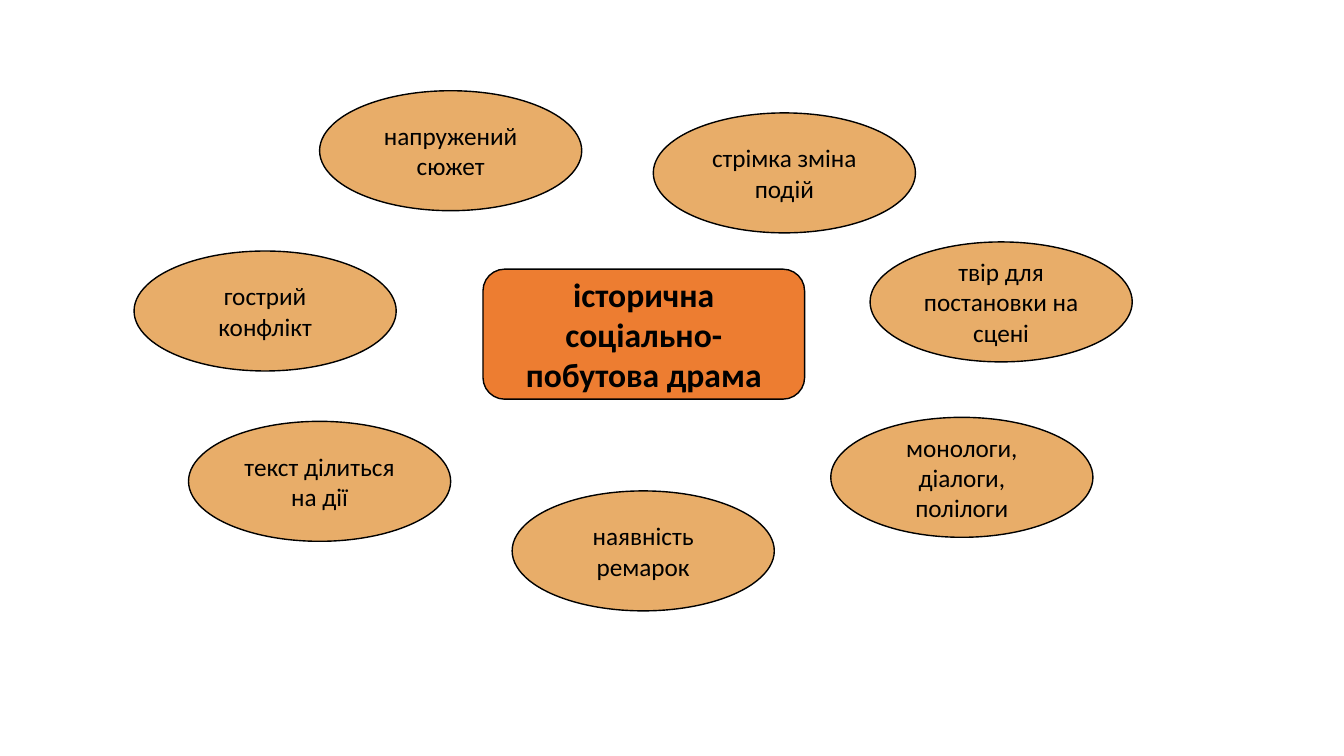
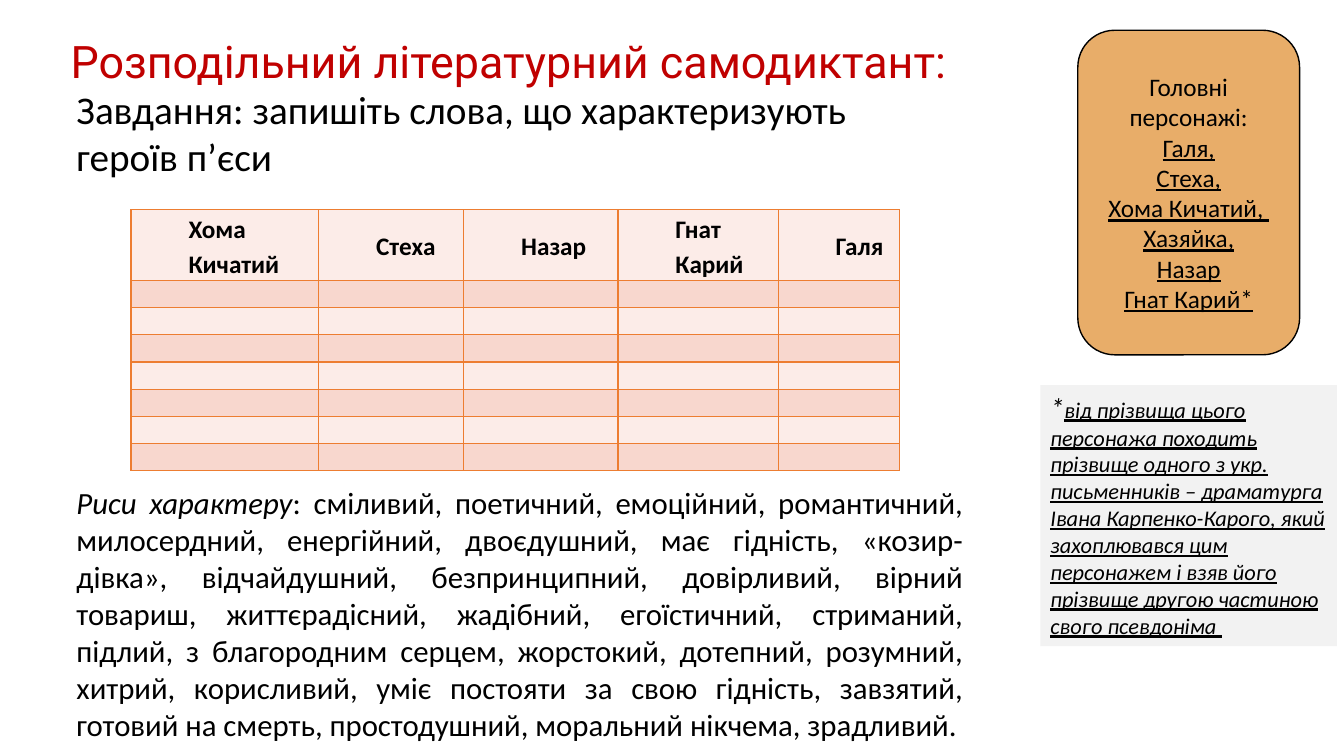
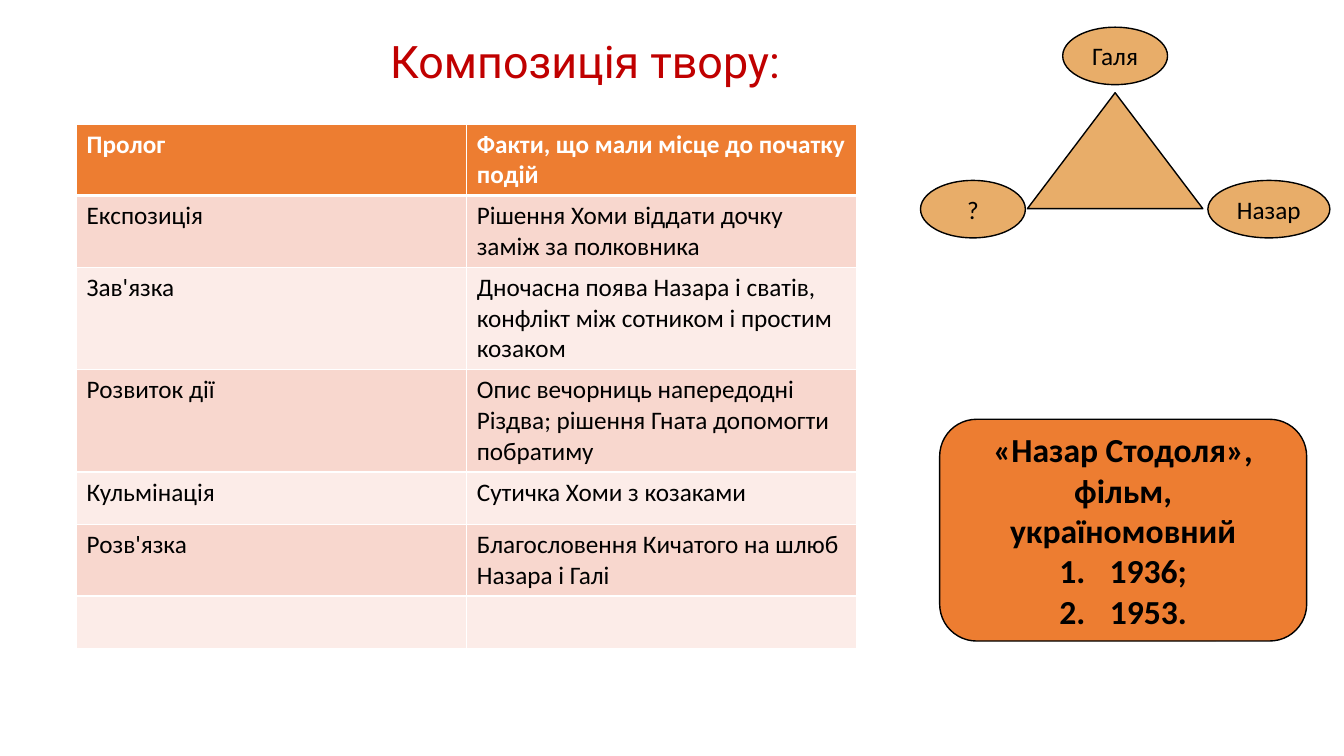
from lxml.etree import SubElement
from pptx import Presentation
from pptx.dml.color import RGBColor
from pptx.enum.shapes import MSO_SHAPE as Shape
from pptx.enum.text import MSO_ANCHOR as Anchor, MSO_AUTO_SIZE as AutoSize, PP_ALIGN as Align
from pptx.oxml.ns import qn
from pptx.util import Inches, Pt

COLORS = {
    "ink": "000000",
    "white": "FFFFFF",
    "title": "C00000",
    "orange": "ED7D31",
    "sand": "E8AD69",
    "rose": "F8D7CE",
    "blush": "FCECE8",
    "gray": "F2F2F2",
}
BLANK_LAYOUT, TITLE_LAYOUT = 6, 5


def color(name):
    return RGBColor.from_string(COLORS[name])


def write(frame, paragraphs, size=18, ink="ink", font="Calibri", bold=False, italic=False,
          underline=False, align=Align.LEFT, anchor=Anchor.TOP, spacing=None, indent=0,
          numbered_from=None):
    frame.word_wrap = True
    frame.vertical_anchor = anchor
    for index, content in enumerate(paragraphs):
        para = frame.paragraphs[0] if index == 0 else frame.add_paragraph()
        para.alignment = align
        if spacing:
            para.line_spacing = spacing
        properties = para._p.get_or_add_pPr()
        if indent:
            properties.set("marL", str(Inches(indent)))
        if numbered_from is not None and index >= numbered_from:
            properties.set("marL", str(Inches(0.5)))
            properties.set("indent", str(-Inches(0.5)))
            SubElement(properties, qn("a:buFont"), typeface="+mj-lt")
            SubElement(properties, qn("a:buAutoNum"), type="arabicPeriod")
        spans = [(content, {})] if isinstance(content, str) else content
        for text, changes in spans:
            span = para.add_run()
            span.text = text
            span.font.name = font
            span.font.size = Pt(changes.get("size", size))
            span.font.bold = bold
            span.font.italic = changes.get("italic", italic)
            span.font.underline = changes.get("underline", underline)
            span.font.color.rgb = color(ink)


class Lesson:
    def __init__(self):
        self.deck = Presentation()
        self.deck.slide_width = Inches(13.33)
        self.deck.slide_height = Inches(7.5)
        self.page = None

    def add_page(self, title=None, left=0, width=0):
        layout = BLANK_LAYOUT if title is None else TITLE_LAYOUT
        self.page = self.deck.slides.add_slide(self.deck.slide_layouts[layout])
        if title is None:
            return
        box = self.page.shapes.title
        box.left, box.top = Inches(left), Inches(0.28)
        box.width, box.height = Inches(width), Inches(0.64)
        write(box.text_frame, [title], size=32, ink="title", font="Roboto")
        box.text_frame.auto_size = AutoSize.NONE

    def shape(self, kind, left, top, width, height, paragraphs=(), fill="sand", line="ink",
              align=Align.CENTER, anchor=Anchor.MIDDLE, **style):
        shape = self.page.shapes.add_shape(
            kind, Inches(left), Inches(top), Inches(width), Inches(height))
        shape.shadow.inherit = False
        shape.fill.solid()
        shape.fill.fore_color.rgb = color(fill)
        if line:
            shape.line.color.rgb = color(line)
            shape.line.width = Pt(1)
        else:
            shape.line.fill.background()
        write(shape.text_frame, paragraphs, align=align, anchor=anchor, **style)

    def oval(self, text, left, top, width=2.6, height=1.19):
        self.shape(Shape.OVAL, left, top, width, height, [text])

    def plaque(self, paragraphs, left, top, width, height, **style):
        self.shape(Shape.ROUNDED_RECTANGLE, left, top, width, height, paragraphs,
                   fill="orange", size=24, bold=True, **style)

    def text(self, paragraphs, left, top, width, height, **style):
        box = self.page.shapes.add_textbox(
            Inches(left), Inches(top), Inches(width), Inches(height))
        write(box.text_frame, paragraphs, **style)

    def table(self, rows, left, top, widths, heights, border, header_fill, header_style,
              header_rule=1, margins=None):
        table = self.page.shapes.add_table(
            len(rows), len(widths), Inches(left), Inches(top),
            Inches(sum(widths)), Inches(sum(heights))).table
        for column, width in zip(table.columns, widths):
            column.width = Inches(width)
        for number, (row, height, texts) in enumerate(zip(table.rows, heights, rows)):
            row.height = Inches(height)
            fill = ("rose" if number % 2 else "blush") if number else header_fill
            rules = {"L": 1, "R": 1,
                     "T": header_rule if number == 1 else 1,
                     "B": header_rule if number == 0 else 1}
            for cell, text in zip(row.cells, texts):
                if margins:
                    cell.margin_left = cell.margin_right = Inches(margins[0])
                    cell.margin_top = cell.margin_bottom = Inches(margins[1])
                self.borders(cell, border, rules)
                cell.fill.solid()
                cell.fill.fore_color.rgb = color(fill)
                if text:
                    style = {} if number else dict(header_style)
                    cell.vertical_anchor = style.pop("anchor", Anchor.TOP)
                    write(cell.text_frame, [text], anchor=cell.vertical_anchor, **style)
                else:
                    para = cell.text_frame.paragraphs[0]
                    SubElement(para._p, qn("a:endParaRPr"), sz="1200")

    def borders(self, cell, border, rules):
        properties = cell._tc.get_or_add_tcPr()
        for side, width in rules.items():
            line = SubElement(properties, qn("a:ln" + side), w=str(Pt(width)))
            paint = SubElement(line, qn("a:solidFill"))
            SubElement(paint, qn("a:srgbClr"), val=COLORS[border])


def add_genre_page(lesson):
    lesson.add_page()
    lesson.plaque(["історична соціально-побутова драма"], 4.79, 2.67, 3.19, 1.29)
    for text, left, top in (
        ("гострий конфлікт", 1.33, 2.49),
        ("твір для постановки на сцені", 8.63, 2.4),
        ("текст ділиться на дії", 1.87, 4.18),
        ("наявність ремарок", 5.08, 4.87),
        ("монологи, діалоги, полілоги", 8.24, 4.14),
        ("стрімка зміна подій", 6.48, 1.12),
        ("напружений сюжет", 3.17, 0.9),
    ):
        lesson.oval(text, left, top)


def add_characters_page(lesson):
    lesson.add_page("Розподільний літературний самодиктант:", 0.6, 9.02)
    names = ["Хома Кичатий", "Стеха", "Назар", "Гнат Карий", "Галя"]
    lesson.table(
        [names] + [[""] * len(names)] * 7, 1.3, 2.08,
        [1.86, 1.44, 1.53, 1.59, 1.2], [0.68] + [0.27] * 7,
        border="orange", header_fill="blush", margins=(0.07, 0),
        header_style={"bold": True, "anchor": Anchor.MIDDLE, "spacing": 1.15, "indent": 0.5})
    heroes = ["Галя,", "Стеха,", "Хома Кичатий, ", "Хазяйка,", "Назар", "Гнат Карий*"]
    lesson.shape(
        Shape.ROUNDED_RECTANGLE, 10.69, 0.3, 2.2, 3.22,
        ["Головні персонажі:"] + [[(hero, {"underline": True})] for hero in heroes])
    lesson.shape(
        Shape.RECTANGLE, 10.32, 3.82, 2.94, 2.59,
        [[("*", {"size": 20}),
          ("від прізвища цього персонажа походить прізвище одного з укр. письменників – "
           "драматурга Івана Карпенко-Карого, який захоплювався цим персонажем і взяв його "
           "прізвище другою частиною свого псевдоніма ", {"underline": True})]],
        fill="gray", line=None, align=Align.LEFT, anchor=Anchor.TOP, size=16, italic=True)
    lesson.text(
        [[("Риси характеру", {"italic": True}),
          (": сміливий, поетичний, емоційний, романтичний, милосердний, енергійний, "
           "двоєдушний, має гідність, «козир-дівка», відчайдушний, безпринципний, довірливий, "
           "вірний товариш, життєрадісний, жадібний, егоїстичний, стриманий, підлий, "
           "з благородним серцем, жорстокий, дотепний, розумний, хитрий, корисливий, уміє "
           "постояти за свою гідність, завзятий, готовий на смерть, простодушний, моральний "
           "нікчема, зрадливий.", {})]],
        0.66, 4.75, 8.99, 2.69, size=22, align=Align.JUSTIFY)
    lesson.text(["Завдання: запишіть слова, що характеризують героїв п’єси"],
                0.66, 0.8, 8.61, 1.28, size=28)


def add_composition_page(lesson):
    lesson.add_page("Композиція твору:", 3.77, 4.87)
    lesson.shape(Shape.ISOSCELES_TRIANGLE, 10.19, 0.92, 1.74, 1.15)
    for text, left, top, width in (
        ("Галя", 10.54, 0.27, 1.04),
        ("Назар", 11.98, 1.79, 1.21),
        ("?", 9.13, 1.79, 1.04),
    ):
        lesson.oval(text, left, top, width, 0.57)
    lesson.table(
        [("Пролог", "Факти, що мали місце до початку подій"),
         ("Експозиція", "Рішення Хоми віддати дочку заміж за полковника"),
         ("Зав'язка",
          "Дночасна поява Назара і сватів, конфлікт між сотником і простим козаком"),
         ("Розвиток дії",
          "Опис вечорниць напередодні Різдва; рішення Гната допомогти побратиму"),
         ("Кульмінація", "Сутичка Хоми з козаками"),
         ("Розв'язка", "Благословення Кичатого на шлюб Назара і Галі"),
         ("", "")],
        0.76, 1.23, [3.87, 3.87], [0.69, 0.7, 1, 1, 0.52, 0.7, 0.52],
        border="white", header_fill="orange", header_rule=3,
        header_style={"bold": True, "ink": "white"})
    lesson.plaque(["«Назар Стодоля», фільм, україномовний", "1936;", "1953."],
                  9.32, 4.16, 3.64, 2.2, numbered_from=1)


def main():
    lesson = Lesson()
    add_genre_page(lesson)
    add_characters_page(lesson)
    add_composition_page(lesson)
    lesson.deck.save("out.pptx")


if __name__ == "__main__":
    main()
